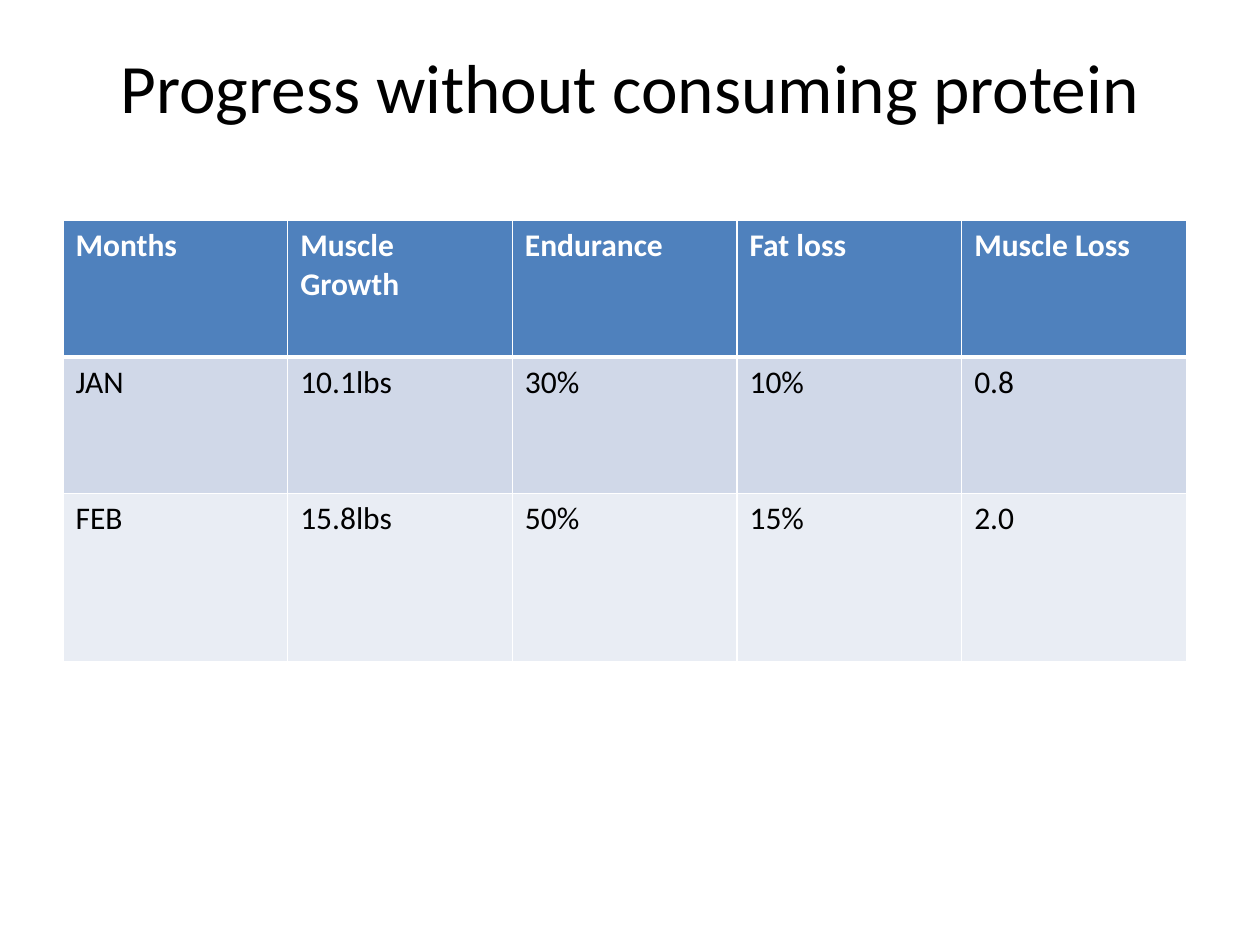
from dataclasses import dataclass

from lxml import etree
from pptx import Presentation
from pptx.dml.color import RGBColor
from pptx.enum import text
from pptx.oxml import ns
from pptx.util import Pt

FONT = "Calibri"
WHITE, BLACK = "FFFFFF", "000000"
LEFT = 36
COL_WIDTH = 128.4


@dataclass
class Row:
    """One table row with its look."""
    cells: list[str]
    height: float
    fill: str
    color: str = BLACK
    bold: bool = False
    bottom: float = 1
    top: float = 1


ROWS = [
    Row(["Months", "Muscle Growth", "Endurance", "Fat loss", "Muscle Loss"],
        78, "4F81BD", WHITE, True, bottom=3),
    Row(["JAN", "10.1lbs", "30%", "10%", "0.8"], 78, "D0D8E8", top=3),
    Row(["FEB", "15.8lbs", "50%", "15%", "2.0"], 96, "E9EDF4"),
]


def rgb(value: str) -> RGBColor:
    """Turn a hex string into a colour."""
    return RGBColor.from_string(value)


def add_run(p, words: str, size: float, color: str, bold: bool = False) -> None:
    """Add one formatted run to a paragraph."""
    r = p.add_run()
    r.text = words
    r.font.name, r.font.size, r.font.bold = FONT, Pt(size), bold
    r.font.color.rgb = rgb(color)


def set_borders(cell, row: Row) -> None:
    """Draw white borders, placed before the fill as the schema asks."""
    tc_pr = cell._tc.get_or_add_tcPr()
    widths = {"lnL": 1, "lnR": 1, "lnT": row.top, "lnB": row.bottom}
    for i, (tag, width) in enumerate(widths.items()):
        ln = etree.Element(ns.qn(f"a:{tag}"), w=str(int(Pt(width))))
        fill = etree.SubElement(ln, ns.qn("a:solidFill"))
        etree.SubElement(fill, ns.qn("a:srgbClr"), val=WHITE)
        tc_pr.insert(i, ln)


def add_title(s, words: str) -> None:
    """Fill and place the title placeholder."""
    sp = s.shapes.title
    sp.left, sp.top, sp.width, sp.height = Pt(LEFT), Pt(21.6), Pt(648), Pt(98.64)
    tf = sp.text_frame
    tf.vertical_anchor = text.MSO_ANCHOR.TOP
    p = tf.paragraphs[0]
    p.alignment = text.PP_ALIGN.CENTER
    add_run(p, words, 39.6, BLACK)


def add_progress_table(s, rows: list[Row]) -> None:
    """Add the table of monthly progress."""
    count = len(rows[0].cells)
    table = s.shapes.add_table(
        len(rows), count, Pt(LEFT), Pt(126), Pt(COL_WIDTH * count),
        Pt(sum(row.height for row in rows))).table
    for column in table.columns:
        column.width = Pt(COL_WIDTH)
    for i, row in enumerate(rows):
        table.rows[i].height = Pt(row.height)
        for j, words in enumerate(row.cells):
            cell = table.cell(i, j)
            cell.fill.solid()
            cell.fill.fore_color.rgb = rgb(row.fill)
            set_borders(cell, row)
            add_run(cell.text_frame.paragraphs[0], words, 18, row.color, row.bold)


def main() -> None:
    """Build and save the slide."""
    prs = Presentation()
    prs.slide_width, prs.slide_height = Pt(720), Pt(540)
    s = prs.slides.add_slide(prs.slide_layouts[5])
    add_title(s, "Progress without consuming protein")
    add_progress_table(s, ROWS)
    prs.save("out.pptx")


main()
